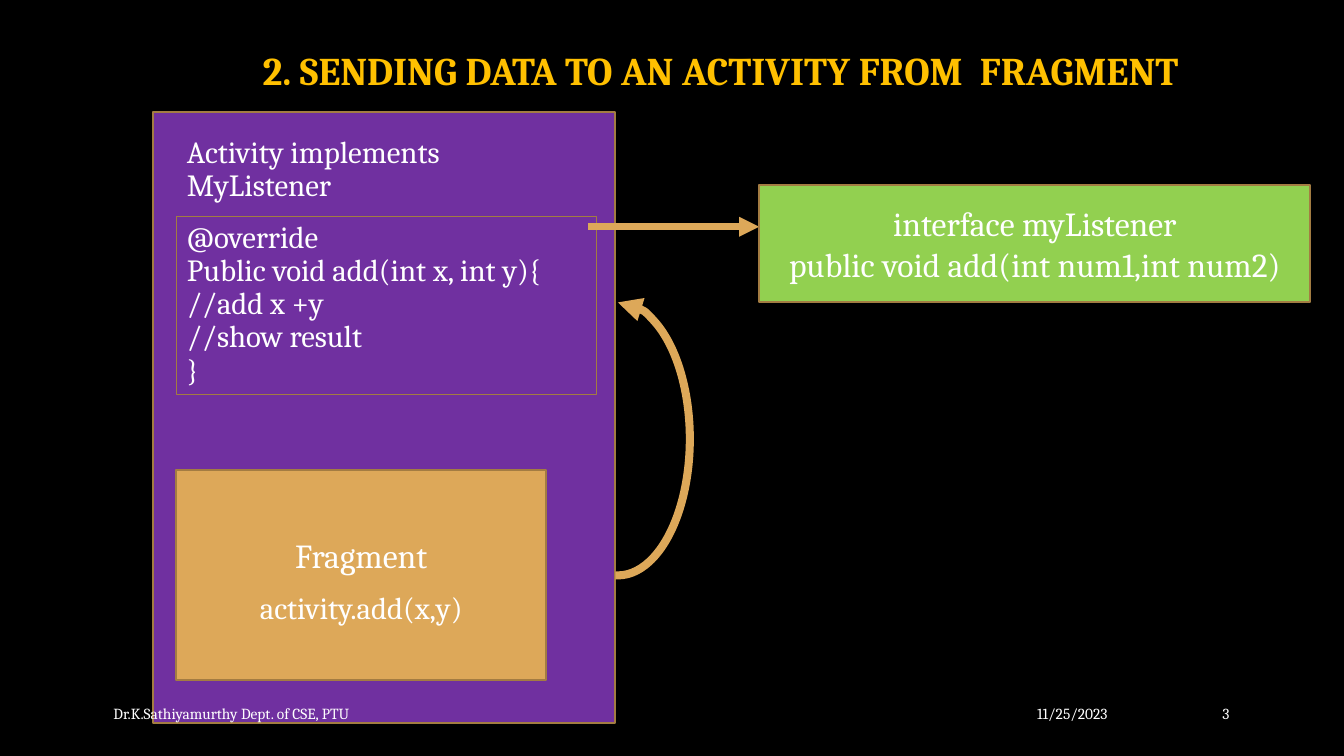
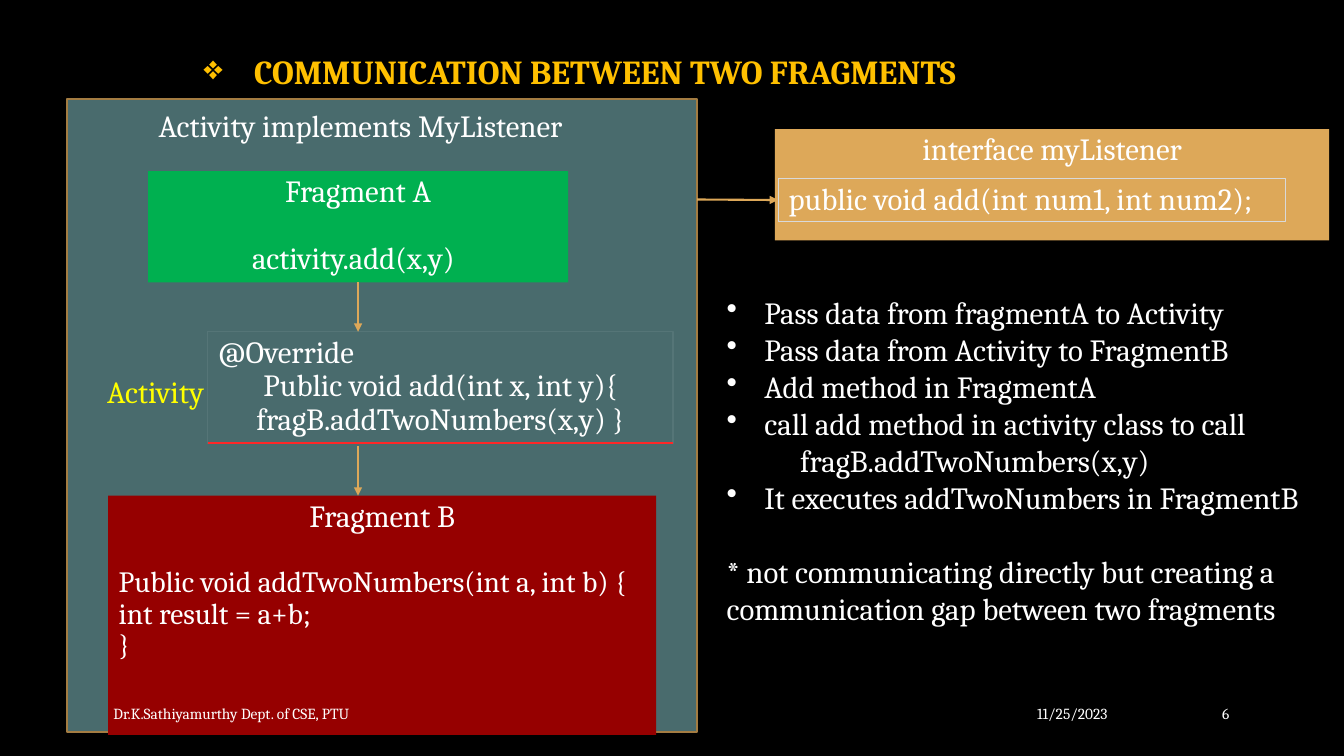
from dataclasses import dataclass
from typing import NamedTuple

from lxml.etree import SubElement
from pptx import Presentation
from pptx.dml.color import RGBColor
from pptx.enum.shapes import MSO_CONNECTOR as Link, MSO_SHAPE as Preset
from pptx.enum.text import MSO_ANCHOR as Anchor, PP_ALIGN as Align
from pptx.oxml.ns import qn
from pptx.util import Pt

PX = 9525  # EMU in one px (96 px to the inch)
BOTTOM, LEFT = 2, 1  # connection sites of a rectangle


@dataclass(frozen=True)
class Theme:
    font: str = "Cambria"
    back: str = "000000"
    text: str = "FFFFFF"
    title: str = "FFC000"
    label: str = "FFFF00"
    gold: str = "DDA859"
    edge: str = "A37C42"
    pale_edge: str = "D9D9D9"
    dim_edge: str = "557577"
    red: str = "FF2727"
    purple: str = "7030A0"
    lime: str = "92D050"
    teal: str = "496B6D"
    green: str = "00B050"
    maroon: str = "960000"
    title_size: int = 28
    large: int = 24
    body: int = 22
    code: int = 21
    footer: int = 11
    tight: float = 0.9
    gap: float = 23.5  # one empty tight line, in points


THEME = Theme()


class Box(NamedTuple):
    left: int
    top: int
    width: int
    height: int

    def inner(self, left, top, width, height):
        return Box(self.left + left, self.top + top, width, height)

    def emu(self):
        return [value * PX for value in self]


@dataclass
class Para:
    text: str
    size: int = THEME.body
    color: str = THEME.text
    align: Align = Align.LEFT
    bold: bool = False
    spacing: float = THEME.tight
    before: float = 0
    indent: int = 0
    bullet: str = ""


def rgb(color):
    return RGBColor.from_string(color)


# Shared drawing helpers
def write(frame, paras, anchor, insets):
    frame.word_wrap = True
    frame.vertical_anchor = anchor
    (frame.margin_left, frame.margin_top,
     frame.margin_right, frame.margin_bottom) = [side * PX for side in insets]
    for index, item in enumerate(paras):
        para = frame.paragraphs[0] if index == 0 else frame.add_paragraph()
        para.alignment = item.align
        para.line_spacing = item.spacing
        para.space_before = Pt(item.before)
        props = para._p.get_or_add_pPr()
        props.set("marL", str(item.indent * PX))
        if item.bullet:
            props.set("indent", str(-item.indent * PX))
            SubElement(props, qn("a:buChar")).set("char", item.bullet)
        para.font.name = THEME.font
        para.font.size = Pt(item.size)
        para.font.bold = item.bold
        para.font.color.rgb = rgb(item.color)
        para.add_run().text = item.text


def stroke(shape, color, weight):
    shape.line.color.rgb = rgb(color)
    shape.line.width = Pt(weight)


def arrowhead(shape, end):
    line = shape.element.spPr.find(qn("a:ln"))
    SubElement(line, qn(f"a:{end}")).set("type", "triangle")


def label(page, box, *paras, anchor=Anchor.TOP, insets=(10, 5, 10, 5)):
    shape = page.shapes.add_textbox(*box.emu())
    write(shape.text_frame, paras, anchor, insets)


def panel(page, box, *paras, fill=None, edge=None, weight=1.5,
          anchor=Anchor.TOP, insets=(10, 5, 10, 5)):
    shape = page.shapes.add_shape(Preset.RECTANGLE, *box.emu())
    shape.shadow.inherit = False
    if fill:
        shape.fill.solid()
        shape.fill.fore_color.rgb = rgb(fill)
    else:
        shape.fill.background()
    if edge:
        stroke(shape, edge, weight)
    else:
        shape.line.fill.background()
    if paras:
        write(shape.text_frame, paras, anchor, insets)
    return shape


def straight(page, start, end, color=THEME.gold, weight=1.5, arrow=True):
    points = [value * PX for value in (*start, *end)]
    line = page.shapes.add_connector(Link.STRAIGHT, *points)
    stroke(line, color, weight)
    if arrow:
        arrowhead(line, "tailEnd")
    SubElement(line.element.spPr, qn("a:effectLst"))
    return line


def footer(page, box, number):
    parts = [
        (box.inner(822, 0, 149, box.height), "11/25/2023", Align.RIGHT),
        (box.inner(0, 0, 779, box.height),
         "Dr.K.Sathiyamurthy Dept. of CSE, PTU", Align.LEFT),
        (box.inner(1000, 0, 87, box.height), str(number), Align.RIGHT),
    ]
    for place, text, align in parts:
        label(page, place,
              Para(text, THEME.footer, align=align, spacing=1),
              anchor=Anchor.MIDDLE, insets=(12, 7, 12, 7))


def new_page(deck, box, title):
    page = deck.slides.add_slide(deck.slide_layouts[6])
    page.background.fill.solid()
    page.background.fill.fore_color.rgb = rgb(THEME.back)
    title.color, title.bold = THEME.title, True
    label(page, box, title)
    return page


# Slide: fragment to activity
def listener_activity(page, box):
    panel(page, box, fill=THEME.purple, edge=THEME.edge)
    fragment = box.inner(22, 341, 352, 200)
    panel(page, fragment,
          Para("Fragment", THEME.large, align=Align.CENTER, spacing=1),
          fill=THEME.gold, edge=THEME.edge, anchor=Anchor.MIDDLE,
          insets=(10, 5, 10, 43))
    label(page, fragment.inner(24, 112, 304, 41),
          Para("activity.add(x,y)", align=Align.CENTER))
    label(page, box.inner(22, 18, 392, 74),
          Para("Activity implements MyListener"))
    code = ("@override", "Public void add(int x, int y){",
            "//add x +y", "//show result", "}")
    panel(page, box.inner(22, 99, 400, 170), *map(Para, code),
          edge=THEME.edge, weight=0.75)


def callback_arc(page, box):
    arc = page.shapes.add_shape(Preset.ARC, *box.emu())
    arc.adjustments[0], arc.adjustments[1] = 162, 54.63
    arc.shadow.inherit = False
    arc.fill.background()
    stroke(arc, THEME.gold, 5.75)
    arrowhead(arc, "headEnd")


def sending_slide(deck, footer_box):
    page = new_page(deck, Box(240, 44, 928, 51),
                    Para("2. SENDING DATA TO AN ACTIVITY FROM  FRAGMENT",
                         THEME.title_size))
    listener_activity(page, Box(146, 107, 440, 582))
    interface = Box(723, 176, 525, 112)
    straight(page, (560, 216), (interface.left, 216), weight=4.75)
    lines = ("interface myListener", "public void add(int num1,int num2)")
    panel(page, interface,
          *[Para(text, THEME.large, align=Align.CENTER, spacing=1)
            for text in lines],
          fill=THEME.lime, edge=THEME.edge, anchor=Anchor.MIDDLE)
    callback_arc(page, Box(520, 288, 137, 260))
    footer(page, footer_box, 3)


# Slide: fragment to fragment
def override_box(page, box):
    panel(page, box, Para("@Override"),
          Para("Public void add(int x, int y){", align=Align.CENTER),
          Para("fragB.addTwoNumbers(x,y) }", align=Align.CENTER),
          edge=THEME.dim_edge, weight=0.75)
    base = box.top + box.height
    straight(page, (box.left, base), (box.left + box.width, base),
             THEME.red, 2, arrow=False)


def fragments_activity(page, box):
    panel(page, box, fill=THEME.teal, edge=THEME.edge)
    label(page, box.inner(77, 7, 544, 41),
          Para("Activity implements MyListener"))
    sender_box = box.inner(77, 69, 400, 106)
    sender = panel(page, sender_box,
                   Para("Fragment A", align=Align.CENTER),
                   Para("activity.add(x,y)", before=THEME.gap, indent=89),
                   fill=THEME.green)
    override = box.inner(134, 222, 443, 106)
    override_box(page, override)
    receiver = box.inner(39, 378, 522, 228)
    panel(page, receiver,
          Para("Fragment B", align=Align.CENTER),
          Para("Public void addTwoNumbers(int a, int b) {", THEME.code,
               before=THEME.gap),
          Para("int result = a+b;", THEME.code),
          Para("}", THEME.code),
          fill=THEME.maroon)
    label(page, box.inner(28, 260, 136, 41),
          Para("Activity", color=THEME.label))
    # Flow from Fragment A through the activity to Fragment B
    middle = sender_box.left + sender_box.width // 2
    first = straight(page, (middle, sender_box.top + sender_box.height),
                     (middle, override.top))
    first.begin_connect(sender, BOTTOM)
    straight(page, (middle, override.top + override.height + 3),
             (middle, receiver.top))


def interface_panel(page, box):
    panel(page, box, Para("interface myListener", align=Align.CENTER),
          fill=THEME.gold)
    return panel(page, box.inner(3, 47, 483, 41),
                 Para("public void add(int num1, int num2);"),
                 edge=THEME.pale_edge, weight=0.75)


def steps_list(page, box):
    def step(text):
        return Para(text, spacing=1, indent=36, bullet="•")

    label(page, box,
          step("Pass data from fragmentA to Activity"),
          step("Pass data from Activity to FragmentB"),
          step("Add method in FragmentA"),
          step("call add method in activity class to call"),
          Para("fragB.addTwoNumbers(x,y)", spacing=1, indent=70),
          step("It executes addTwoNumbers in FragmentB"),
          Para("* not communicating directly but creating a "
               "communication gap between two fragments",
               spacing=1, before=26.4))


def communication_slide(deck, footer_box):
    page = new_page(deck, Box(184, 48, 856, 45),
                    Para("COMMUNICATION BETWEEN TWO FRAGMENTS", THEME.large,
                         indent=48, bullet="❖"))
    activity = Box(64, 94, 600, 603)
    fragments_activity(page, activity)
    signature = interface_panel(page, Box(738, 123, 528, 106))
    link = straight(page, (activity.left + activity.width, 190), (741, 190))
    link.end_connect(signature, LEFT)
    steps_list(page, Box(682, 275, 584, 365))
    footer(page, footer_box, 6)


def main():
    deck = Presentation()
    deck.slide_width, deck.slide_height = 1280 * PX, 720 * PX
    footer_box = Box(96, 669, 1087, 20)
    sending_slide(deck, footer_box)
    communication_slide(deck, footer_box)
    deck.save("out.pptx")


if __name__ == "__main__":
    main()
